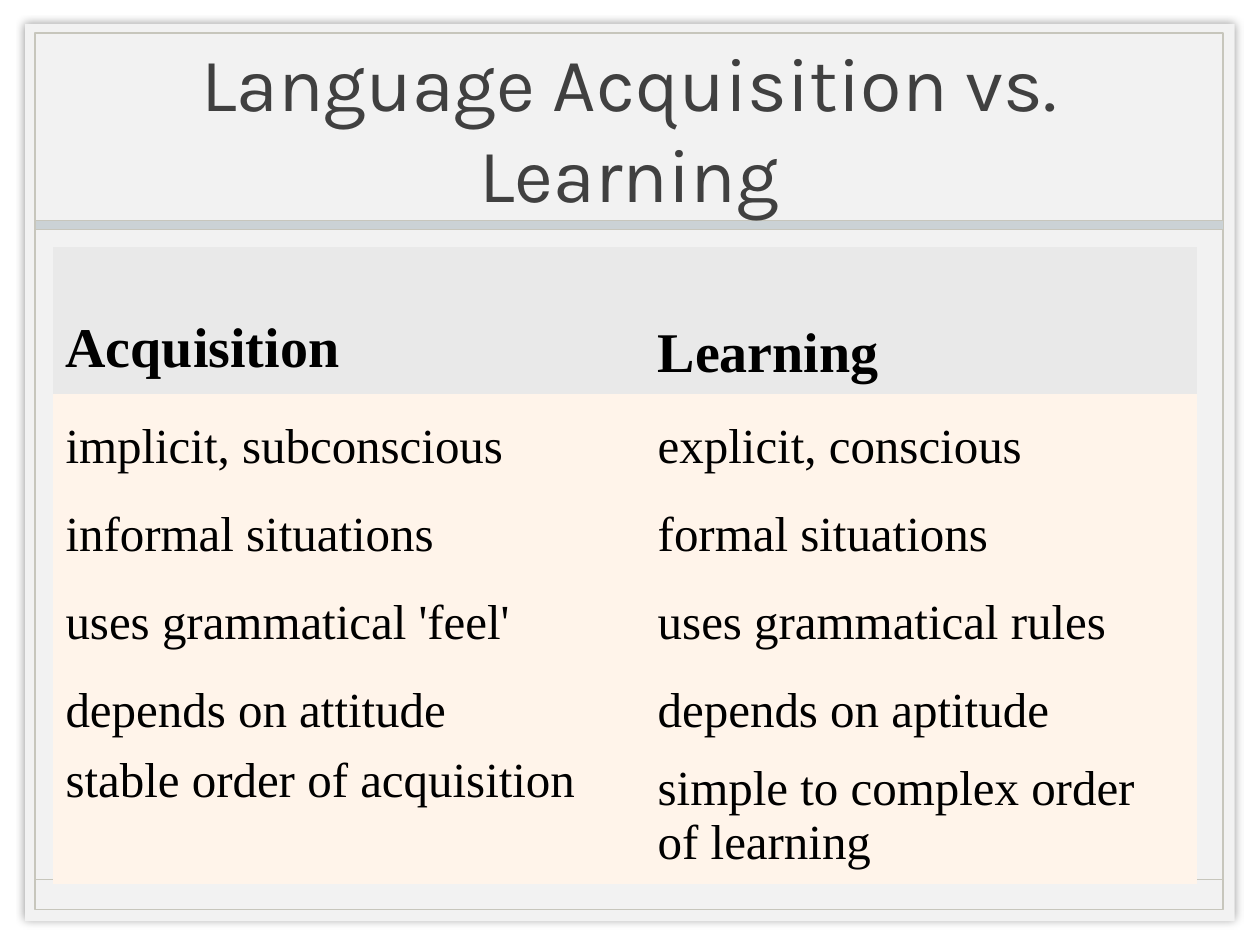
from lxml.etree import SubElement
from pptx import Presentation
from pptx.dml.color import RGBColor
from pptx.enum.shapes import MSO_CONNECTOR, MSO_SHAPE
from pptx.enum.text import MSO_ANCHOR, MSO_AUTO_SIZE, PP_ALIGN
from pptx.oxml.ns import qn
from pptx.util import Inches, Pt

TITLE = "Language Acquisition vs. Learning"
ROWS = [
    ("Acquisition", "Learning"),
    ("implicit, subconscious", "explicit, conscious"),
    ("informal situations", "formal situations"),
    ("uses grammatical 'feel'", "uses grammatical rules"),
    ("depends on attitude", "depends on aptitude"),
    ("stable order of acquisition", "simple to complex order of learning"),
]
COLUMN_WIDTHS = (4.7, 4.38)
ROW_HEIGHTS = (1.17, 0.83, 0.57, 0.83, 0.57, 1.09)
HEADER_TOP_MARGINS = (0.56, 0.6)
LAST_ROW = len(ROWS) - 1
FRAME_LINE = "C7C6BC"
PANELS = [
    ((0.2, 0.19, 9.6, 7.12), "F2F2F2", None),
    ((0.28, 0.26, 9.43, 6.96), None, 1),
    ((0.28, 1.75, 9.43, 0.07), "CBD2D5", 0.25),
]


def color(value):
    return RGBColor.from_string(value)


def paint(fill, value):
    if value:
        fill.solid()
        fill.fore_color.rgb = color(value)
    else:
        fill.background()


def add_panel(slide, box, fill, line_width):
    panel = slide.shapes.add_shape(MSO_SHAPE.RECTANGLE, *map(Inches, box))
    panel.shadow.inherit = False
    paint(panel.fill, fill)
    paint(panel.line.fill, FRAME_LINE if line_width else None)
    if line_width:
        panel.line.width = Pt(line_width)
    return panel


def add_glow_shadow(shape, blur):
    effects = shape._element.spPr.find(qn("a:effectLst"))
    shadow = SubElement(effects, qn("a:outerShdw"), blurRad=str(Pt(blur)),
                        dist="0", dir="0", algn="ctr", rotWithShape="0")
    black = SubElement(shadow, qn("a:srgbClr"), val="000000")
    SubElement(black, qn("a:alpha"), val="40000")


def add_text(paragraph, text, font, size, value, bold=False):
    run = paragraph.add_run()
    run.text = text
    run.font.name = font
    run.font.size = Pt(size)
    run.font.bold = bold
    run.font.color.rgb = color(value)


presentation = Presentation()
presentation.slide_width = Inches(10)
presentation.slide_height = Inches(7.5)
slide = presentation.slides.add_slide(presentation.slide_layouts[5])

panels = [add_panel(slide, *panel) for panel in PANELS]
add_glow_shadow(panels[0], 5)

footer_line = slide.shapes.add_connector(
    MSO_CONNECTOR.STRAIGHT, Inches(0.28), Inches(6.98), Inches(9.71), Inches(6.98))
footer_line.line.color.rgb = color(FRAME_LINE)
footer_line.line.width = Pt(1)
SubElement(footer_line._element.spPr, qn("a:effectLst"))

title = slide.shapes.title
slide.shapes._spTree.append(title._element)
title.left, title.top, title.width, title.height = map(Inches, (0.98, 0.27, 8.03, 1.47))
title.text_frame.word_wrap = True
title.text_frame.auto_size = MSO_AUTO_SIZE.NONE
title.text_frame.vertical_anchor = MSO_ANCHOR.MIDDLE
heading = title.text_frame.paragraphs[0]
heading.alignment = PP_ALIGN.CENTER
add_text(heading, TITLE, "Karla", 43.2, "404040")

table = slide.shapes.add_table(
    len(ROWS), len(COLUMN_WIDTHS), Inches(0.42), Inches(1.96),
    Inches(sum(COLUMN_WIDTHS)), Inches(sum(ROW_HEIGHTS))).table
table.first_row = True
table.horz_banding = False
for column, width in zip(table.columns, COLUMN_WIDTHS):
    column.width = Inches(width)
for row, height in zip(table.rows, ROW_HEIGHTS):
    row.height = Inches(height)

for row_index, texts in enumerate(ROWS):
    is_header = row_index == 0
    for column_index, text in enumerate(texts):
        cell = table.cell(row_index, column_index)
        paint(cell.fill, "E9E9E9" if is_header else "FFF4EA")
        at_top = is_header or (row_index == LAST_ROW and column_index == 0)
        cell.vertical_anchor = MSO_ANCHOR.TOP if at_top else MSO_ANCHOR.MIDDLE
        if is_header:
            cell.margin_top = Inches(HEADER_TOP_MARGINS[column_index])
        add_text(cell.text_frame.paragraphs[0], text, "Times New Roman",
                 32 if is_header else 28, "000000", is_header)
        borders = cell._tc.get_or_add_tcPr()
        for position, side in enumerate(("lnL", "lnR", "lnT", "lnB")):
            border = borders.makeelement(qn(f"a:{side}"), {"w": "0"})
            SubElement(border, qn("a:noFill"))
            borders.insert(position, border)

presentation.save("out.pptx")
